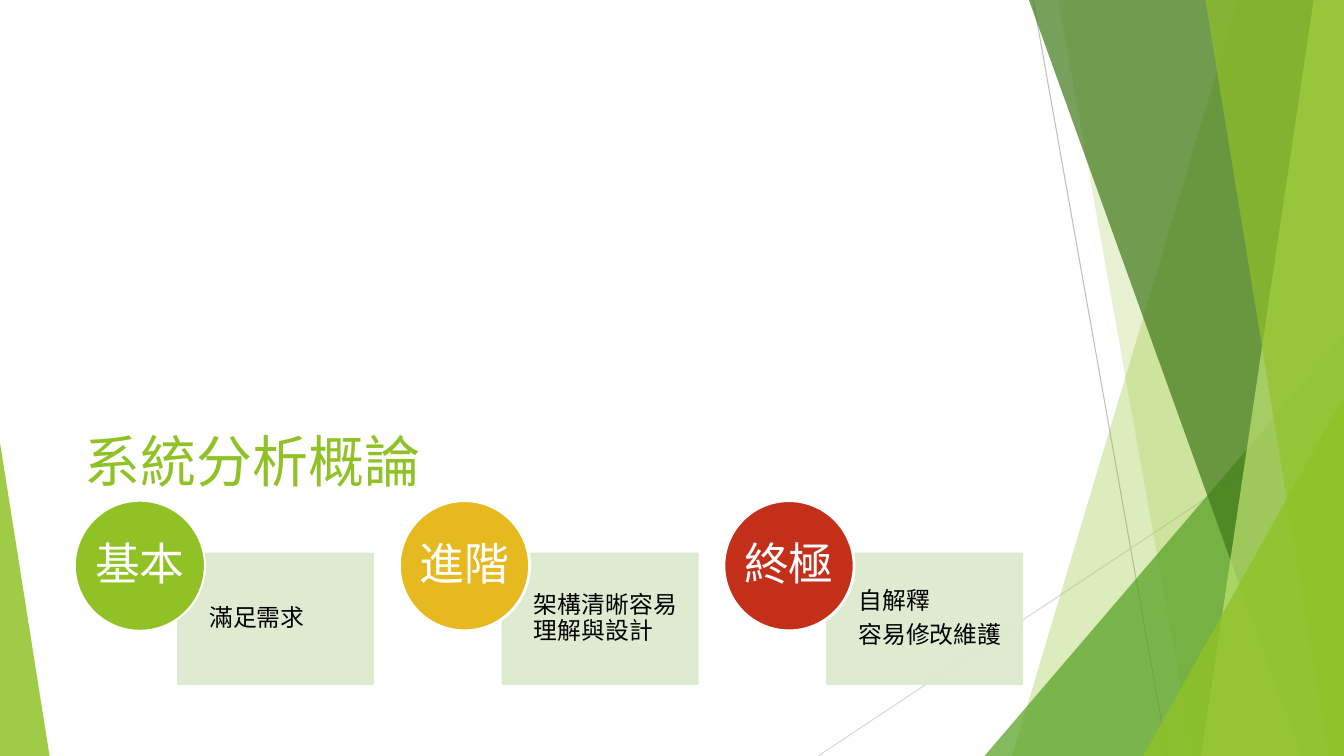
from dataclasses import dataclass

from lxml.etree import SubElement
from pptx import Presentation
from pptx.dml.color import RGBColor
from pptx.enum.shapes import MSO_CONNECTOR, MSO_SHAPE
from pptx.enum.text import MSO_ANCHOR, MSO_AUTO_SIZE, PP_ALIGN
from pptx.oxml.ns import qn
from pptx.util import Inches, Pt


@dataclass(frozen=True)
class Theme:
    """Colours, font and type sizes of the slide."""
    font: str = "Lato"
    title_size: int = 40
    badge_size: int = 32
    body_size: int = 17
    green: str = "90C226"
    leaf: str = "54A021"
    forest: str = "3F7819"
    lime: str = "C0E474"
    gold: str = "E6B91E"
    red: str = "C42F1A"
    pale: str = "DBE9CD"
    white: str = "FFFFFF"
    black: str = "000000"
    dark_line: str = "BFBFBF"
    light_line: str = "D9D9D9"


THEME = Theme()
COLUMNS, ROWS = 80, 45
CARD_LEFT, CARD_STEP = 4.45, 19.32

LINES = [
    ((61.5, 0), (69.5, ROWS), THEME.dark_line),
    ((COLUMNS, 24.2), (48.7, ROWS), THEME.light_line),
]
BACK_BANDS = [
    (73.7, 60.25, THEME.green, 30),
    (63, 71, THEME.green, 20),
]
FRONT_BANDS = [
    (61.25, 77.45, THEME.forest, 70),
    (78.2, 71.5, THEME.lime, 70),
    (71.75, 79.1, THEME.green, 65),
]
CARDS = [
    ("基本", ["滿足需求"], THEME.green, 1.5),
    ("進階", ["架構清晰容易理解與設計"], THEME.gold, 2),
    ("終極", ["自解釋", "容易修改維護"], THEME.red, 2),
]


def grid(*cells):
    """Turn grid cells, six to the inch, into lengths."""
    return [Inches(cell / 6) for cell in cells]


def paint(shape, color, opacity=100, edge=None, edge_width=1.5):
    """Give a shape its fill, edge and opacity, without a shadow."""
    shape.shadow.inherit = False
    shape.fill.solid()
    shape.fill.fore_color.rgb = RGBColor.from_string(color)
    if edge:
        shape.line.width = Pt(edge_width)
        shape.line.color.rgb = RGBColor.from_string(edge)
    else:
        shape.line.fill.background()
    if opacity < 100:
        for node in list(shape._element.spPr.iter(qn("a:srgbClr"))):
            SubElement(node, qn("a:alpha"), val=str(opacity * 1000))


def write(shape, paragraphs, size, color, align=PP_ALIGN.LEFT,
          anchor=MSO_ANCHOR.MIDDLE, margins=None, spacing=None, after=None):
    """Write formatted paragraphs into a shape."""
    frame = shape.text_frame
    frame.word_wrap = True
    frame.auto_size = MSO_AUTO_SIZE.NONE
    frame.vertical_anchor = anchor
    if margins:
        (frame.margin_left, frame.margin_top,
         frame.margin_right, frame.margin_bottom) = grid(*margins)
    frame.text = "\n".join(paragraphs)
    for para in frame.paragraphs:
        para.alignment = align
        para.line_spacing = spacing
        para.space_before = Pt(0)
        para.space_after = after
        para.font.name = THEME.font
        para.font.size = Pt(size)
        para.font.color.rgb = RGBColor.from_string(color)


def add_line(page, start, end, color):
    """Draw a thin background line."""
    line = page.shapes.add_connector(
        MSO_CONNECTOR.STRAIGHT, *grid(*start), *grid(*end))
    line.line.width = Pt(0.75)
    line.line.color.rgb = RGBColor.from_string(color)
    SubElement(line._element.spPr, qn("a:effectLst"))


def add_band(page, top, bottom, color, opacity):
    """Draw a full-height band with a slanted left edge."""
    builder = page.shapes.build_freeform(*grid(top, 0))
    corners = [(COLUMNS, 0), (COLUMNS, ROWS), (bottom, ROWS)]
    builder.add_line_segments([grid(*corner) for corner in corners])
    paint(builder.convert_to_shape(), color, opacity)


def add_triangle(page, left, top, width, apex, color, opacity):
    """Draw a triangle that stands on the bottom of the slide."""
    triangle = page.shapes.add_shape(
        MSO_SHAPE.ISOSCELES_TRIANGLE, *grid(left, top, width, ROWS - top))
    triangle.adjustments[0] = apex
    paint(triangle, color, opacity)


def add_card(page, left, label, lines, color, edge_width):
    """Draw a pale card with a round badge on its corner."""
    card = page.shapes.add_shape(
        MSO_SHAPE.RECTANGLE, *grid(left + 6.15, 32.95, 11.6, 7.75))
    paint(card, THEME.pale, 90, edge=THEME.pale)
    write(card, lines, THEME.body_size, THEME.black,
          margins=(1.86, 0.78, 0.78, 0.78), spacing=0.9, after=Pt(6))
    badge = page.shapes.add_shape(
        MSO_SHAPE.OVAL, *grid(left, 29.8, 7.75, 7.75))
    paint(badge, color, edge=THEME.white, edge_width=edge_width)
    write(badge, [label], THEME.badge_size, THEME.white,
          align=PP_ALIGN.CENTER, margins=(0, 0, 0, 0), spacing=0.9)


def add_backdrop(page):
    """Draw the lines, bands and triangles behind the content."""
    for line in LINES:
        add_line(page, *line)
    for band in BACK_BANDS:
        add_band(page, *band)
    add_triangle(page, 58.6, 20, 21.4, 1, THEME.leaf, 72)
    for band in FRONT_BANDS:
        add_band(page, *band)
    add_triangle(page, 68.05, 23.6, 11.95, 1, THEME.green, 80)
    add_triangle(page, 0, 26.35, 2.95, 0, THEME.green, 85)


def add_title(page, text):
    """Place and format the title placeholder."""
    title = page.shapes.title
    title.left, title.top, title.width, title.height = grid(
        CARD_LEFT, 17.7, 56.4, 12)
    write(title, [text], THEME.title_size, THEME.green,
          anchor=MSO_ANCHOR.BOTTOM)


def main():
    """Build the slide and save it."""
    deck = Presentation()
    deck.slide_width, deck.slide_height = grid(COLUMNS, ROWS)
    page = deck.slides.add_slide(deck.slide_layouts[5])
    add_backdrop(page)
    add_title(page, "系統分析概論")
    for index, card in enumerate(CARDS):
        add_card(page, CARD_LEFT + index * CARD_STEP, *card)
    deck.save("out.pptx")


if __name__ == "__main__":
    main()
